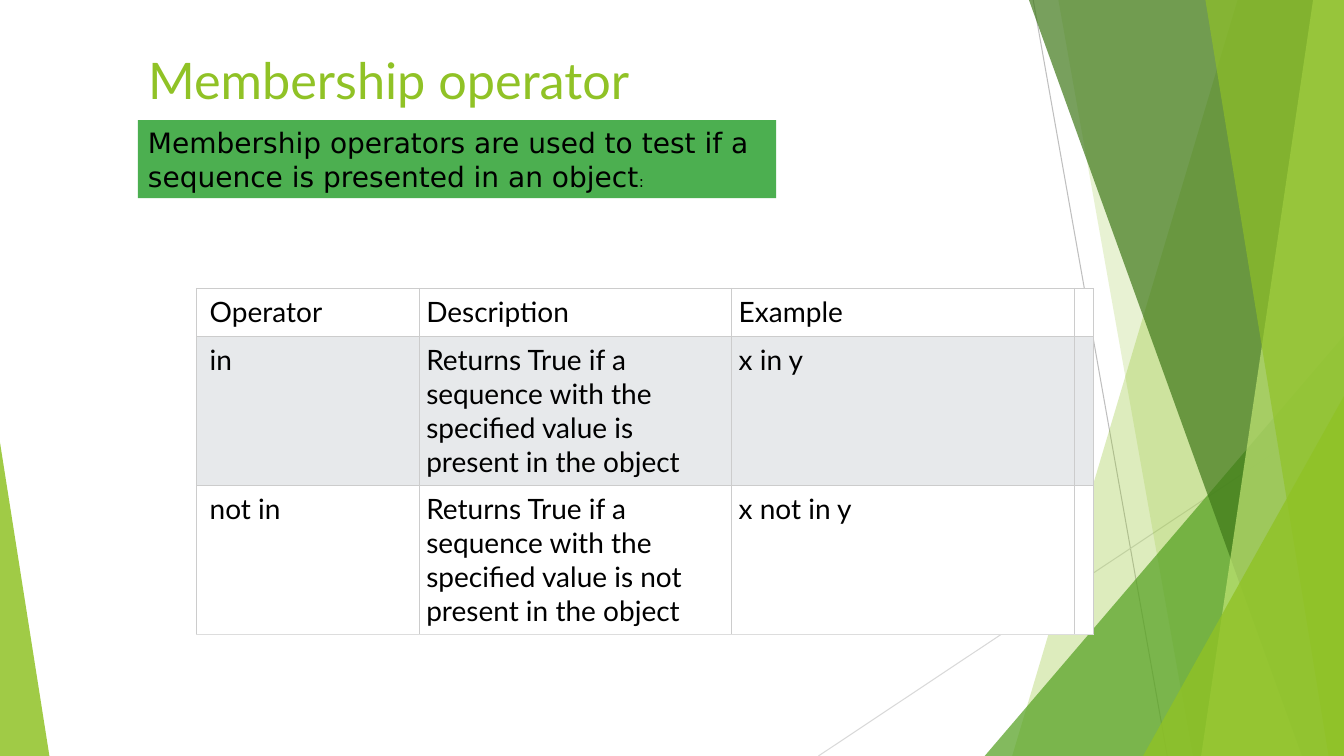
from dataclasses import dataclass

from lxml import etree
from pptx import Presentation
from pptx import util as u
from pptx.dml.color import RGBColor
from pptx.enum import shapes, text
from pptx.oxml import ns

Pt = u.Pt
WIDTH, HEIGHT = 960, 540

LIME = RGBColor(0x90, 0xC2, 0x26)
GREEN = RGBColor(0x54, 0xA0, 0x21)
DARK_GREEN = RGBColor(0x3F, 0x78, 0x19)
PALE_LIME = RGBColor(0xC0, 0xE4, 0x74)
BOX_GREEN = RGBColor(0x4C, 0xAF, 0x50)
BLACK = RGBColor(0, 0, 0)
WHITE = RGBColor(0xFF, 0xFF, 0xFF)
BAND = RGBColor(0xE7, 0xE9, 0xEB)
BORDER = RGBColor(0xCC, 0xCC, 0xCC)
BOTTOM_BORDER = RGBColor(0xDD, 0xDD, 0xDD)
GREY = RGBColor(0xBF, 0xBF, 0xBF)
LIGHT_GREY = RGBColor(0xD9, 0xD9, 0xD9)


@dataclass
class Ray:
    x1: float
    y1: float
    x2: float
    y2: float
    color: RGBColor


@dataclass
class Facet:
    """Area right of a slanted edge that spans the slide height."""
    top_x: float
    bottom_x: float
    color: RGBColor
    opacity: int


@dataclass
class Corner:
    """Right triangle on the slide's bottom edge; apex 0 is left, 1 is right."""
    left: float
    top: float
    width: float
    apex: int
    color: RGBColor
    opacity: int


RAYS = [
    Ray(738, 0, 833.8, HEIGHT, GREY),
    Ray(WIDTH, 290.2, 584.6, HEIGHT, LIGHT_GREY),
]
PANELS = [
    Facet(884.2, 722.9, LIME, 30),
    Facet(756, 851.8, LIME, 20),
    Corner(703.4, 239.8, 256.6, 1, GREEN, 72),
    Facet(735.1, 929.5, DARK_GREEN, 70),
    Facet(938.2, 858.2, PALE_LIME, 70),
    Facet(861.1, 949, LIME, 65),
    Corner(816.5, 283, 143.5, 1, LIME, 80),
    Corner(0, 316.1, 35.3, 0, LIME, 85),
]
COLUMN_WIDTHS = [159.1, 223.2, 244.8, 13.7]
ROW_HEIGHTS = [34, 106, 106]
ROWS = [
    ["Operator", "Description", "Example", ""],
    ["in", "Returns True if a sequence with the specified value is "
     "present in the object", "x in y", ""],
    ["not in", "Returns True if a sequence with the specified value is not "
     "present in the object", "x not in y", ""],
]


def add_run(p, words: str, font: str, size: float, color: RGBColor) -> None:
    r = p.add_run()
    r.text = words
    r.font.name = font
    r.font.size = Pt(size)
    r.font.color.rgb = color


def add_ray(s, ray: Ray) -> None:
    line = s.shapes.add_connector(shapes.MSO_CONNECTOR.STRAIGHT, Pt(ray.x1),
                                  Pt(ray.y1), Pt(ray.x2), Pt(ray.y2))
    line.line.color.rgb = ray.color
    line.line.width = Pt(0.75)
    etree.SubElement(line._element.spPr, ns.qn("a:effectLst"))


def add_panel(s, panel: Facet | Corner) -> None:
    if isinstance(panel, Facet):
        outline = s.shapes.build_freeform(panel.top_x, 0, scale=Pt(1))
        outline.add_line_segments(
            [(WIDTH, 0), (WIDTH, HEIGHT), (panel.bottom_x, HEIGHT)])
        sp = outline.convert_to_shape()
    else:
        sp = s.shapes.add_shape(
            shapes.MSO_SHAPE.ISOSCELES_TRIANGLE, Pt(panel.left), Pt(panel.top),
            Pt(panel.width), Pt(HEIGHT - panel.top))
        sp.adjustments[0] = panel.apex
    sp.shadow.inherit = False
    sp.line.fill.background()
    sp.fill.solid()
    sp.fill.fore_color.rgb = panel.color
    color = sp._element.spPr.find(".//" + ns.qn("a:srgbClr"))
    etree.SubElement(color, ns.qn("a:alpha"), val=str(panel.opacity * 1000))


def set_borders(cell, bottom: RGBColor) -> None:
    tc_pr = cell._tc.get_or_add_tcPr()
    sides = {"a:lnL": BORDER, "a:lnR": BORDER, "a:lnT": BORDER, "a:lnB": bottom}
    for i, (side, color) in enumerate(sides.items()):
        line = etree.Element(ns.qn(side), w=str(Pt(0.6)))
        fill = etree.SubElement(line, ns.qn("a:solidFill"))
        etree.SubElement(fill, ns.qn("a:srgbClr"), val=str(color))
        tc_pr.insert(i, line)


def add_title(s) -> None:
    title = s.shapes.title
    title.left, title.top = Pt(98.6), Pt(30.2)
    title.width, title.height = Pt(801.4), Pt(52.6)
    tf = title.text_frame
    tf.vertical_anchor = text.MSO_ANCHOR.MIDDLE
    p = tf.paragraphs[0]
    p.alignment = text.PP_ALIGN.LEFT
    add_run(p, "Membership operator", "Lato", 36, LIME)


def add_operator_table(s) -> None:
    table = s.shapes.add_table(
        len(ROWS), len(COLUMN_WIDTHS), Pt(140.4), Pt(205.9),
        Pt(sum(COLUMN_WIDTHS)), Pt(sum(ROW_HEIGHTS))).table
    table.first_row = table.horz_banding = False
    for column, width in zip(table.columns, COLUMN_WIDTHS):
        column.width = Pt(width)
    for i, (row, height) in enumerate(zip(ROWS, ROW_HEIGHTS)):
        table.rows[i].height = Pt(height)
        for j, words in enumerate(row):
            cell = table.cell(i, j)
            cell.margin_left = Pt(9.4 if j == 0 else 5)
            cell.margin_right = cell.margin_top = cell.margin_bottom = Pt(5)
            cell.fill.solid()
            cell.fill.fore_color.rgb = BAND if i % 2 else WHITE
            set_borders(cell, BOTTOM_BORDER if i == len(ROWS) - 1 else BORDER)
            if words:
                add_run(cell.text_frame.paragraphs[0], words, "Lato", 20, BLACK)


def add_definition(s) -> None:
    sp = s.shapes.add_shape(shapes.MSO_SHAPE.RECTANGLE,
                            Pt(98.6), Pt(85.9), Pt(455.8), Pt(55.7))
    sp.shadow.inherit = False
    sp.line.fill.background()
    sp.fill.solid()
    sp.fill.fore_color.rgb = BOX_GREEN
    tf = sp.text_frame
    tf.word_wrap = True
    tf.vertical_anchor = text.MSO_ANCHOR.MIDDLE
    p = tf.paragraphs[0]
    p.alignment = text.PP_ALIGN.LEFT
    add_run(p, "Membership operators are used to test if a sequence is "
            "presented in an object", "DejaVu Sans", 20, BLACK)
    add_run(p, ":", "DejaVu Sans", 11, BLACK)


def main() -> None:
    prs = Presentation()
    prs.slide_width, prs.slide_height = Pt(WIDTH), Pt(HEIGHT)
    s = prs.slides.add_slide(prs.slide_layouts.get_by_name("Title Only"))
    for ray in RAYS:
        add_ray(s, ray)
    for panel in PANELS:
        add_panel(s, panel)
    add_title(s)
    add_operator_table(s)
    add_definition(s)
    prs.save("out.pptx")


if __name__ == "__main__":
    main()
